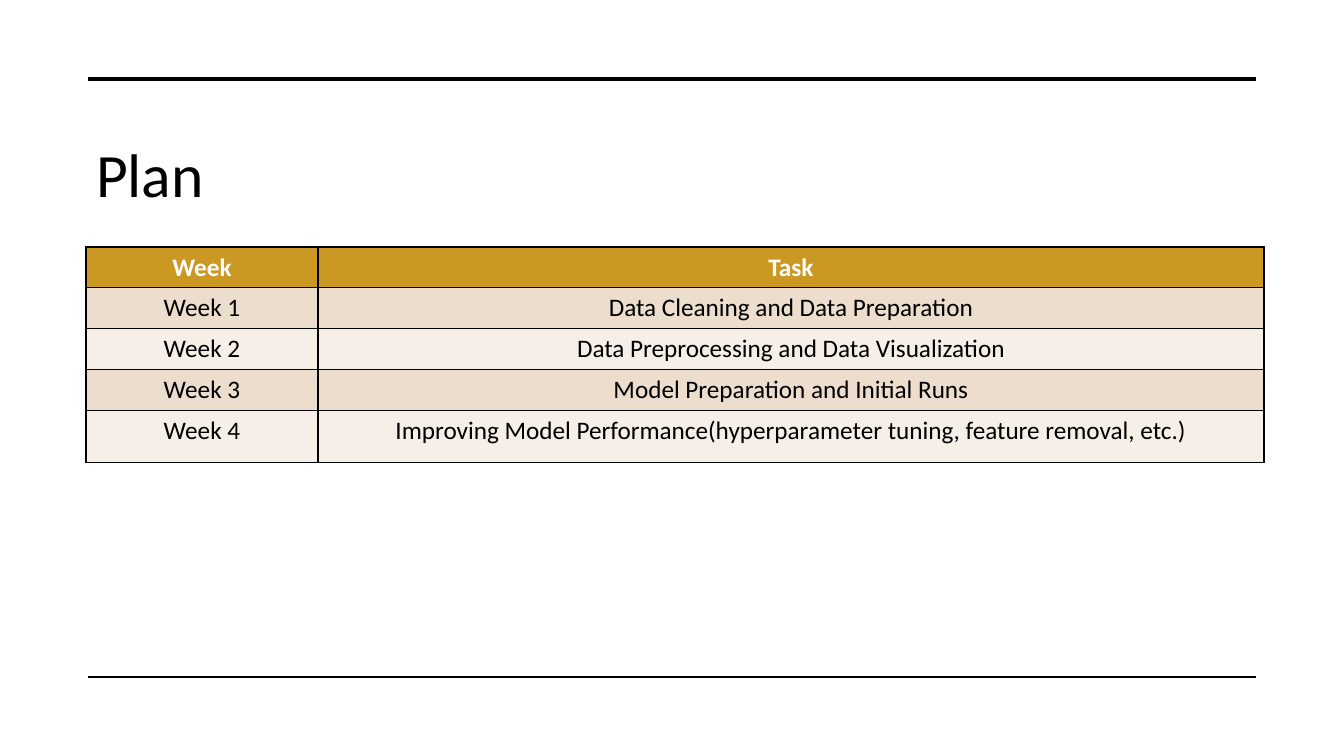
from lxml import etree
from pptx import Presentation
from pptx.dml.color import RGBColor
from pptx.enum.shapes import MSO_CONNECTOR
from pptx.enum.text import MSO_ANCHOR, PP_ALIGN
from pptx.oxml import parse_xml
from pptx.oxml.ns import nsdecls, qn
from pptx.util import Pt

STRAIGHT = MSO_CONNECTOR.STRAIGHT
MIDDLE = MSO_ANCHOR.MIDDLE
LEFT, CENTER = PP_ALIGN.LEFT, PP_ALIGN.CENTER
SCALE = 12192000 / 1344
FONT = "Calibri"
COLORS = {"ink": "000000", "white": "FFFFFF", "head": "CC9824",
          "odd": "ECDDCD", "even": "F6EFE8"}
TASKS = [
    "Data Cleaning and Data Preparation",
    "Data Preprocessing and Data Visualization",
    "Model Preparation and Initial Runs",
    "Improving Model Performance(hyperparameter tuning, feature removal, etc.)",
]
ROWS = [("Week", "Task")] + [(f"Week {n}", task) for n, task in enumerate(TASKS, 1)]


def px(size):
    return round(size * SCALE)


def color(name):
    return RGBColor.from_string(COLORS[name])


def style(para, size, tone, align, bold=False):
    para.alignment = align
    para.font.name = FONT
    para.font.size = Pt(size)
    para.font.bold = bold
    para.font.color.rgb = color(tone)


def add_rule(slide, left, top, width, weight):
    rule = slide.shapes.add_connector(
        STRAIGHT, px(left), px(top), px(left + width), px(top))
    rule.line.color.rgb = color("ink")
    rule.line.width = Pt(weight)
    etree.SubElement(rule._element.spPr, qn("a:effectLst"))


def add_title(slide, left, top, width, height):
    title = slide.shapes.title
    title.left, title.top = px(left), px(top)
    title.width, title.height = px(width), px(height)
    frame = title.text_frame
    frame.text = "Plan"
    frame.word_wrap = True
    frame.vertical_anchor = MIDDLE
    style(frame.paragraphs[0], 44, "ink", LEFT)


def add_border(cell):
    props = cell._tc.get_or_add_tcPr()
    for spot, side in enumerate("LRTB"):
        props.insert(spot, parse_xml(
            f'<a:ln{side} {nsdecls("a")} w="{Pt(1)}"><a:solidFill>'
            f'<a:srgbClr val="{COLORS["ink"]}"/></a:solidFill></a:ln{side}>'))


def add_plan(slide, left, top, width, height):
    table = slide.shapes.add_table(
        len(ROWS), 2, px(left), px(top), px(width), px(height)).table
    week = 232
    table.columns[0].width = px(week)
    table.columns[1].width = px(width - week)
    step = 40
    for r, row in enumerate(ROWS):
        last = r == len(ROWS) - 1
        table.rows[r].height = px(height - step * r if last else step)
        fill = "head" if r == 0 else "odd" if r % 2 else "even"
        for c, text in enumerate(row):
            cell = table.cell(r, c)
            cell.text = text
            cell.fill.solid()
            cell.fill.fore_color.rgb = color(fill)
            add_border(cell)
            style(cell.text_frame.paragraphs[0], 18,
                  "ink" if r else "white", CENTER, r == 0)


def main():
    deck = Presentation()
    deck.slide_width, deck.slide_height = px(1344), px(756)
    slide = deck.slides.add_slide(deck.slide_layouts[5])
    add_rule(slide, 88, 79, 1168, 3.5)
    add_rule(slide, 88, 677, 1168, 1)
    add_title(slide, 86, 130, 1178, 85)
    add_plan(slide, 86, 247, 1178, 212)
    deck.save("out.pptx")


if __name__ == "__main__":
    main()
